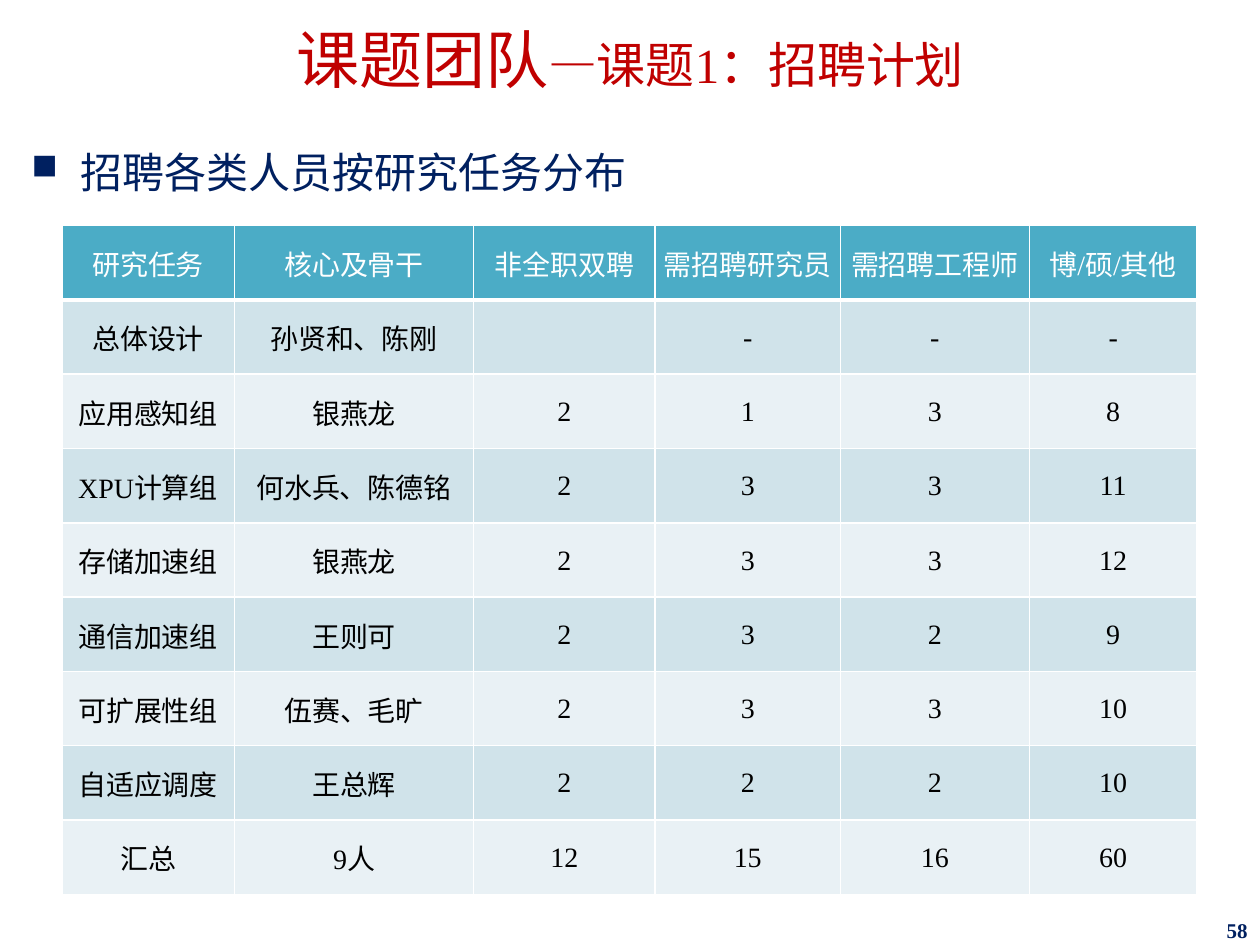
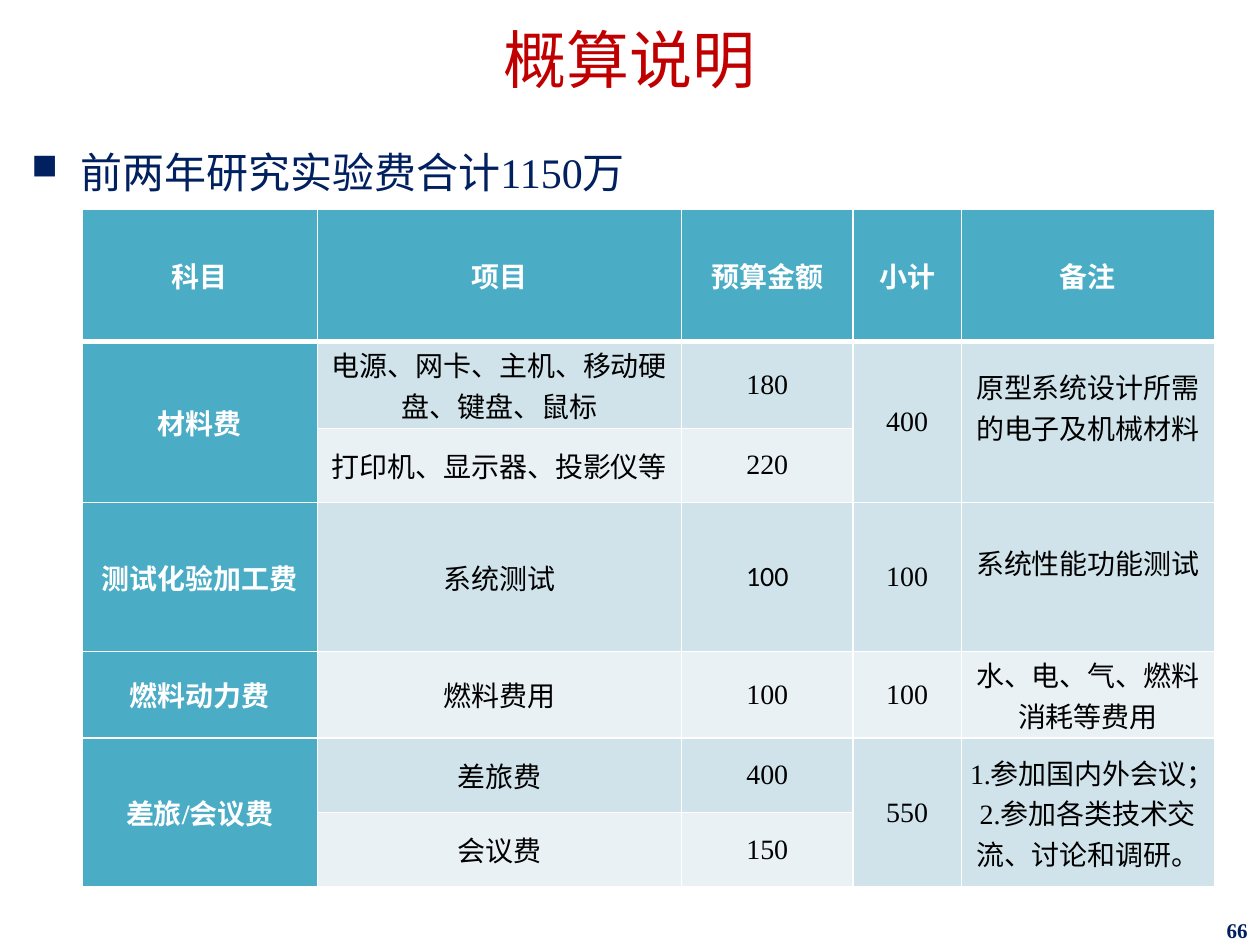
from dataclasses import dataclass

from lxml.etree import SubElement
from pptx import Presentation
from pptx.dml.color import RGBColor as Color
from pptx.enum.text import MSO_ANCHOR as Anchor, PP_ALIGN as Align
from pptx.oxml import parse_xml
from pptx.oxml.ns import nsdecls, qn
from pptx.util import Inches, Pt


@dataclass(frozen=True)
class Theme:
    font: str = "Times New Roman"
    plain_font: str = "Calibri"
    red: str = "C00000"
    navy: str = "002060"
    white: str = "FFFFFF"
    black: str = "000000"
    header: str = "4BACC6"
    bands: tuple = ("D0E3EA", "E9F1F5")
    title_size: int = 36
    subtitle_size: int = 28
    bullet_size: int = 24
    table_size: int = 16
    number_size: int = 12
    thin_line: int = 1
    thick_line: int = 3


THEME = Theme()

STAFF_COLUMNS = (1.37, 1.9, 1.44, 1.47, 1.5, 1.33)
STAFF = (
    ("研究任务", "核心及骨干", "非全职双聘", "需招聘研究员", "需招聘工程师", "博/硕/其他"),
    ("总体设计", "孙贤和、陈刚", "", "-", "-", "-"),
    ("应用感知组", "银燕龙", "2", "1", "3", "8"),
    ("XPU计算组", "何水兵、陈德铭", "2", "3", "3", "11"),
    ("存储加速组", "银燕龙", "2", "3", "3", "12"),
    ("通信加速组", "王则可", "2", "3", "2", "9"),
    ("可扩展性组", "伍赛、毛旷", "2", "3", "3", "10"),
    ("自适应调度", "王总辉", "2", "2", "2", "10"),
    ("汇总", "9人", "12", "15", "16", "60"),
)

BUDGET_COLUMNS = (1.87, 2.89, 1.36, 0.86, 2.01)
BUDGET_ROWS = (1.05, 0.69, 0.59, 1.18, 0.69, 0.59, 0.59)
BUDGET = (
    ("科目", "项目", "预算金额", "小计", "备注"),
    ("材料费", "电源、网卡、主机、移动硬盘、键盘、鼠标", "180", "400",
     "原型系统设计所需的电子及机械材料"),
    ("", "打印机、显示器、投影仪等", "220", "", ""),
    ("测试化验加工费", "系统测试", "100", "100", "系统性能功能测试"),
    ("燃料动力费", "燃料费用", "100", "100", "水、电、气、燃料消耗等费用"),
    ("差旅/会议费", "差旅费", "400", "550",
     "1.参加国内外会议；\n2.参加各类技术交流、讨论和调研。"),
    ("", "会议费", "150", "", ""),
)
BUDGET_GROUPS = (1, 5)
BUDGET_GROUP_COLUMNS = (0, 3, 4)
RAISED_NOTES = (1, 3)


def style_font(font, size, color, bold=False):
    font.name = THEME.font
    font.size = Pt(size)
    font.bold = bold
    font.color.rgb = Color.from_string(color)


def set_margins(target, left, top, right, bottom):
    target.margin_left = Inches(left)
    target.margin_top = Inches(top)
    target.margin_right = Inches(right)
    target.margin_bottom = Inches(bottom)


def add_text_box(page, place, margins, anchor):
    box = page.shapes.add_textbox(*map(Inches, place))
    frame = box.text_frame
    frame.word_wrap = True
    frame.vertical_anchor = anchor
    set_margins(frame, *margins)
    return frame.paragraphs[0]


def add_title(page, title, subtitle):
    para = add_text_box(page, (0, 0, 10, 0.89), (0.1, 0.16, 0.1, 0.05), Anchor.MIDDLE)
    para.alignment = Align.CENTER
    para.line_spacing = 0.9
    style_font(para.font, THEME.title_size, THEME.red)
    para.add_run().text = title
    if subtitle:
        span = para.add_run()
        span.text = subtitle
        span.font.size = Pt(THEME.subtitle_size)


def add_bullet(page, text):
    para = add_text_box(page, (0.15, 0.99, 9.72, 6.17), (0.1, 0.05, 0.1, 0.05), Anchor.TOP)
    para.line_spacing = 1.3
    properties = para._p.get_or_add_pPr()
    properties.set("marL", str(Inches(0.39)))
    properties.set("indent", str(Inches(-0.39)))
    SubElement(properties, qn("a:buSzPct"), val="85000")
    SubElement(properties, qn("a:buChar"), char="■")
    style_font(para.font, THEME.bullet_size, THEME.navy)
    para.add_run().text = text


def add_page_number(page, number):
    para = add_text_box(page, (7.75, 7.28, 2.25, 0.22), (0.1, 0.04, 0.1, 0.05), Anchor.MIDDLE)
    para.alignment = Align.RIGHT
    style_font(para.font, THEME.number_size, THEME.navy, bold=True)
    para.add_run().text = str(number)


def add_page(deck, title, subtitle, bullet, number):
    page = deck.slides.add_slide(deck.slide_layouts[6])
    add_title(page, title, subtitle)
    add_bullet(page, bullet)
    add_page_number(page, number)
    return page


def set_borders(cell, row):
    widths = {side: THEME.thin_line for side in ("L", "R", "T", "B")}
    if row == 0:
        widths["B"] = THEME.thick_line
    elif row == 1:
        widths["T"] = THEME.thick_line
    properties = cell._tc.get_or_add_tcPr()
    for position, (side, width) in enumerate(widths.items()):
        line = parse_xml(
            f'<a:ln{side} {nsdecls("a")} w="{Pt(width)}"><a:solidFill>'
            f'<a:srgbClr val="{THEME.white}"/></a:solidFill></a:ln{side}>'
        )
        properties.insert(position, line)


def fill_cell(cell, text, row, is_header, bold, margins):
    cell.text = text
    cell.vertical_anchor = Anchor.MIDDLE
    set_margins(cell, *margins)
    for para in cell.text_frame.paragraphs:
        para.alignment = Align.CENTER
        color = THEME.white if is_header else THEME.black
        style_font(para.font, THEME.table_size, color, bold)
    cell.fill.solid()
    fill = THEME.header if is_header else THEME.bands[(row - 1) % 2]
    cell.fill.fore_color.rgb = Color.from_string(fill)
    set_borders(cell, row)


def add_grid(page, left, top, columns, heights, records, margins,
             header_column=False, bold_headers=False):
    frame = page.shapes.add_table(
        len(records), len(columns), Inches(left), Inches(top),
        Inches(sum(columns)), Inches(sum(heights)))
    grid = frame.table
    grid.horz_banding = False
    grid.first_col = header_column
    for column, width in zip(grid.columns, columns):
        column.width = Inches(width)
    for row, height in zip(grid.rows, heights):
        row.height = Inches(height)
    for row, record in enumerate(records):
        for column, text in enumerate(record):
            is_header = row == 0 or (header_column and column == 0)
            fill_cell(grid.cell(row, column), text, row, is_header,
                      is_header and bold_headers, margins)
    return grid


def add_staff_table(page):
    add_grid(page, 0.49, 1.79, STAFF_COLUMNS, [0.59] * len(STAFF), STAFF,
             (0.01, 0.01, 0.01, 0))


def add_budget_table(page):
    grid = add_grid(page, 0.65, 1.66, BUDGET_COLUMNS, BUDGET_ROWS, BUDGET,
                    (0.07, 0, 0.07, 0), header_column=True, bold_headers=True)
    for row in BUDGET_GROUPS:
        for column in BUDGET_GROUP_COLUMNS:
            grid.cell(row, column).merge(grid.cell(row + 1, column))
    for row in RAISED_NOTES:
        grid.cell(row, 4).margin_bottom = Inches(0.24)
    grid.cell(3, 2).text_frame.paragraphs[0].font.name = THEME.plain_font
    grid.cell(5, 4).text_frame.paragraphs[0].alignment = Align.LEFT


def main():
    deck = Presentation()
    deck.slide_width = Inches(10)
    deck.slide_height = Inches(7.5)
    staff_page = add_page(deck, "课题团队", "—课题1：招聘计划", "招聘各类人员按研究任务分布", 58)
    add_staff_table(staff_page)
    budget_page = add_page(deck, "概算说明", "", "前两年研究实验费合计1150万", 66)
    add_budget_table(budget_page)
    deck.save("out.pptx")


if __name__ == "__main__":
    main()
